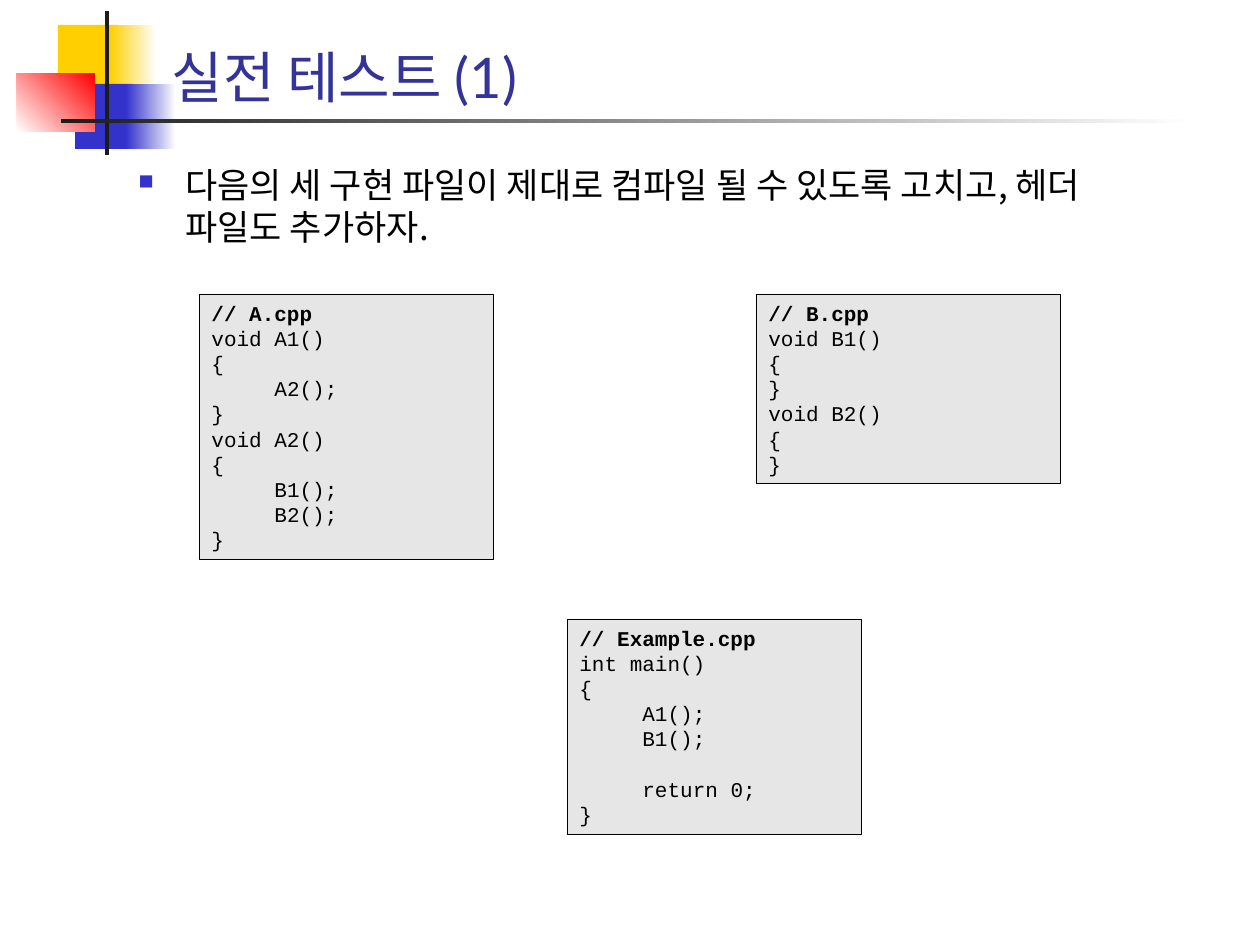
from dataclasses import dataclass
from typing import Optional

from lxml.etree import SubElement
from pptx import Presentation
from pptx.dml.color import RGBColor
from pptx.enum.shapes import MSO_SHAPE
from pptx.enum.text import MSO_ANCHOR, PP_ALIGN
from pptx.oxml.ns import qn
from pptx.util import Pt

EMU_PER_PX = 914400 / 126


@dataclass(frozen=True)
class Theme:
    yellow: str = "FFCF01"
    blue: str = "3333CC"
    red: str = "FF0000"
    white: str = "FFFFFF"
    dark: str = "1C1C1C"
    title: str = "333399"
    text: str = "000000"
    code_fill: str = "E6E6E6"
    title_font: str = "Lato"
    body_font: str = "Noto Sans CJK KR"
    code_font: str = "Courier New"
    title_size: int = 32
    body_size: int = 20
    code_size: int = 12


THEME = Theme()


@dataclass(frozen=True)
class Box:
    left: int
    top: int
    width: int
    height: int


@dataclass(frozen=True)
class Ornament:
    box: Box
    color: str
    end_color: Optional[str] = None
    angle: int = 0


@dataclass(frozen=True)
class CodePanel:
    box: Box
    code: str


# Corner squares, vertical bar and fading rule
ORNAMENTS = [
    Ornament(Box(58, 25, 60, 66), THEME.yellow),
    Ornament(Box(110, 25, 46, 66), THEME.yellow, THEME.white),
    Ornament(Box(75, 84, 58, 65), THEME.blue),
    Ornament(Box(126, 84, 50, 65), THEME.blue, THEME.white),
    Ornament(Box(17, 73, 78, 59), THEME.white, THEME.red, 45),
    Ornament(Box(105, 11, 4, 144), THEME.dark),
    Ornament(Box(61, 119, 1134, 4), THEME.dark, THEME.white),
]

PANELS = [
    CodePanel(Box(567, 619, 294, 215), """// Example.cpp
int main()
{
\tA1();
\tB1();

\treturn 0;
}"""),
    CodePanel(Box(199, 294, 294, 265), """// A.cpp
void A1()
{
\tA2();
}
void A2()
{
\tB1();
\tB2();
}"""),
    CodePanel(Box(756, 294, 304, 189), """// B.cpp
void B1()
{
}
void B2()
{
}"""),
]


def px(length: int) -> int:
    return round(length * EMU_PER_PX)


def place(shape, box: Box) -> None:
    shape.left, shape.top = px(box.left), px(box.top)
    shape.width, shape.height = px(box.width), px(box.height)


def add_rectangle(slide, box: Box):
    shape = slide.shapes.add_shape(MSO_SHAPE.RECTANGLE, 0, 0, 0, 0)
    place(shape, box)
    shape.shadow.inherit = False
    return shape


def write(paragraph, text: str, *, font: str, size: int, color: str,
          bold: bool = False, line_spacing=None) -> None:
    paragraph.alignment = PP_ALIGN.LEFT
    paragraph.line_spacing = line_spacing
    if not text:
        paragraph.font.size = Pt(size)
        return
    run = paragraph.add_run()
    run.text = text
    run.font.name = font
    run.font.size = Pt(size)
    run.font.bold = bold
    run.font.color.rgb = RGBColor.from_string(color)
    east_asian = SubElement(run._r.get_or_add_rPr(), qn("a:ea"))
    east_asian.set("typeface", THEME.body_font)


def add_bullet(paragraph, *, character: str, color: str, percent: int, indent: int) -> None:
    properties = paragraph._p.get_or_add_pPr()
    properties.set("marL", str(px(indent)))
    properties.set("indent", str(-px(indent)))
    bullet_color = SubElement(properties, qn("a:buClr"))
    SubElement(bullet_color, qn("a:srgbClr")).set("val", color)
    SubElement(properties, qn("a:buSzPct")).set("val", str(percent * 1000))
    SubElement(properties, qn("a:buChar")).set("char", character)


def draw_ornament(slide, ornament: Ornament) -> None:
    shape = add_rectangle(slide, ornament.box)
    shape.line.fill.background()
    if ornament.end_color is None:
        shape.fill.solid()
        shape.fill.fore_color.rgb = RGBColor.from_string(ornament.color)
        return
    shape.fill.gradient()
    shape.fill.gradient_angle = ornament.angle
    for stop, color in zip(shape.fill.gradient_stops, (ornament.color, ornament.end_color)):
        stop.color.rgb = RGBColor.from_string(color)


def draw_code_panel(slide, panel: CodePanel) -> None:
    shape = add_rectangle(slide, panel.box)
    shape.fill.solid()
    shape.fill.fore_color.rgb = RGBColor.from_string(THEME.code_fill)
    shape.line.color.rgb = RGBColor.from_string(THEME.text)
    shape.line.width = Pt(0.25)
    frame = shape.text_frame
    frame.word_wrap = True
    frame.vertical_anchor = MSO_ANCHOR.TOP
    for index, line in enumerate(panel.code.split("\n")):
        paragraph = frame.add_paragraph() if index else frame.paragraphs[0]
        write(paragraph, line, font=THEME.code_font, size=THEME.code_size,
              color=THEME.text, bold=index == 0, line_spacing=Pt(14.4))


def main() -> None:
    presentation = Presentation()
    presentation.slide_width, presentation.slide_height = px(1260), px(945)
    slide = presentation.slides.add_slide(presentation.slide_layouts[5])

    for ornament in ORNAMENTS:
        draw_ornament(slide, ornament)

    # Title
    title = slide.shapes.title
    place(title, Box(159, 21, 1074, 95))
    title.text_frame.vertical_anchor = MSO_ANCHOR.BOTTOM
    write(title.text_frame.paragraphs[0], "실전 테스트 (1)", font=THEME.title_font,
          size=THEME.title_size, color=THEME.title)

    # Task description
    body = slide.shapes.add_textbox(0, 0, 0, 0)
    place(body, Box(126, 157, 1071, 703))
    body.text_frame.word_wrap = True
    paragraph = body.text_frame.paragraphs[0]
    add_bullet(paragraph, character="■", color=THEME.blue, percent=60, indent=47)
    write(paragraph, "다음의 세 구현 파일이 제대로 컴파일 될 수 있도록 고치고, 헤더 파일도 추가하자.",
          font=THEME.body_font, size=THEME.body_size, color=THEME.text)

    # Source files
    for panel in PANELS:
        draw_code_panel(slide, panel)

    presentation.save("out.pptx")


if __name__ == "__main__":
    main()
